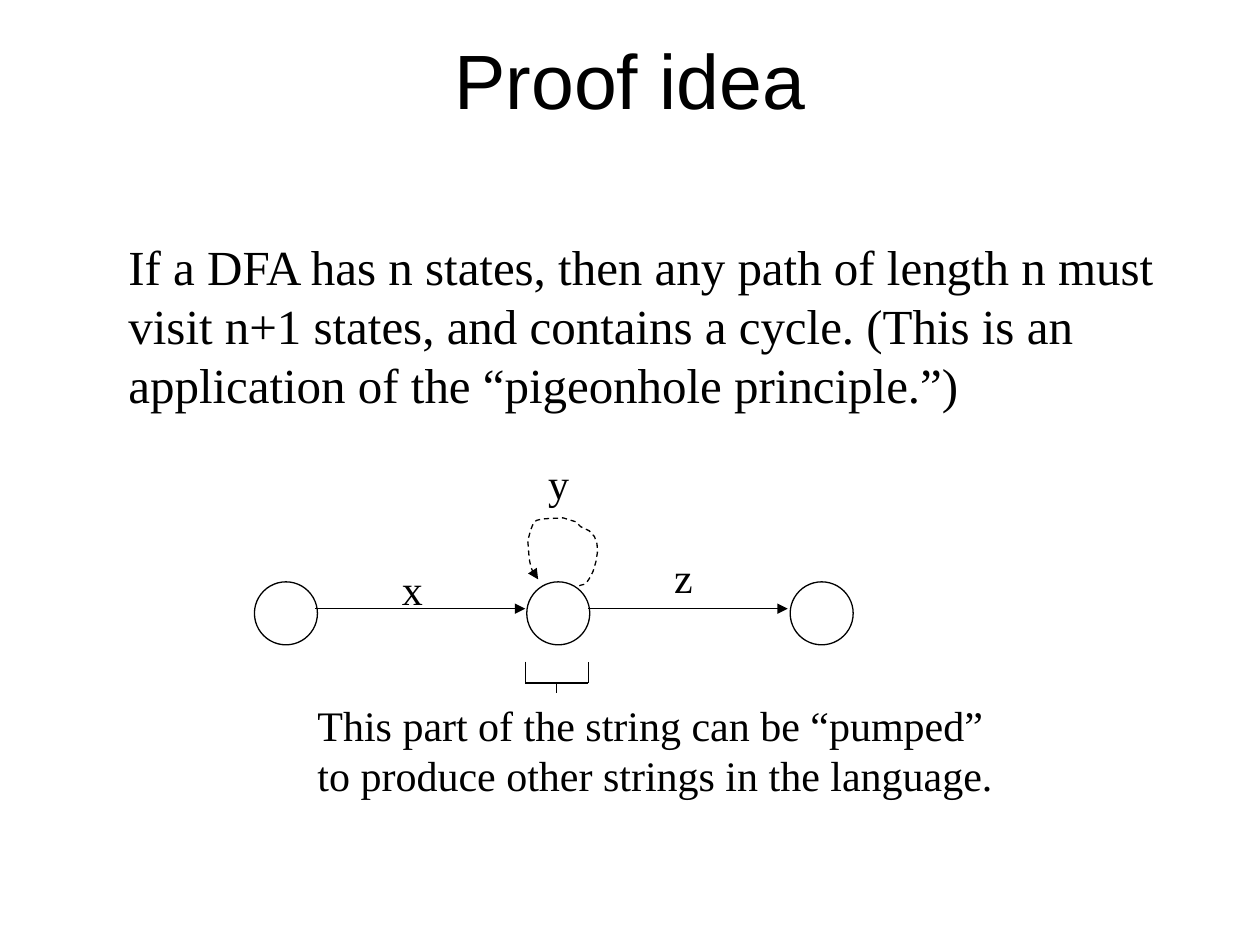
"""Build the proof idea slide with its state diagram."""
from dataclasses import dataclass
from typing import Any

from lxml.etree import SubElement
from pptx import Presentation
from pptx.dml.color import RGBColor
from pptx.enum.dml import MSO_LINE_DASH_STYLE as Dash
from pptx.enum.shapes import MSO_CONNECTOR as Link, MSO_SHAPE as Form
from pptx.enum.text import MSO_ANCHOR as Anchor, MSO_AUTO_SIZE as Auto, PP_ALIGN as Align
from pptx.oxml.ns import qn
from pptx.util import Cm, Pt

Point = tuple[float, float]


@dataclass(frozen=True)
class Theme:
    """Hold the colours, fonts and sizes."""
    ink: RGBColor = RGBColor(0, 0, 0)
    paper: RGBColor = RGBColor(255, 255, 255)
    head: str = "Arial"
    body: str = "Times New Roman"
    title: int = 44
    text: int = 28
    label: int = 24
    line: float = 0.75


@dataclass(frozen=True)
class Note:
    """Describe one text box in centimetres."""
    left: float
    top: float
    width: float
    height: float
    lines: tuple[str, ...]
    size: int
    wrap: bool = True


@dataclass(frozen=True)
class Edge:
    """Describe one straight line in centimetres."""
    start: Point
    end: Point
    arrow: bool = False


THEME = Theme()
SIDE = 1.27
STATE_TOP = 11.73
STATES = (5.13, 10.62, 15.93)
NOTES = (
    Note(2.34, 4.65, 21.31, 3.81, (
        "If a DFA has n states, then any path of length n must",
        "visit n+1 states, and contains a cycle. (This is an",
        "application of the “pigeonhole principle.”)"), THEME.text),
    Note(7.85, 11.23, 0.91, SIDE, ("x",), THEME.label, False),
    Note(10.8, 9.09, 0.91, SIDE, ("y",), THEME.label, False),
    Note(13.34, 11, 0.89, SIDE, ("z",), THEME.label, False),
    Note(6.15, 13.97, 14.17, 2.29, (
        "This part of the string can be “pumped”",
        "to produce other strings in the language."), THEME.label),
)
LEFT, RIGHT = 10.59, 11.86
MID = (LEFT + RIGHT) / 2
TOP, BASE, STEM = 13.34, 13.77, 13.97
FLOW = 12.27
EDGES = (
    Edge((LEFT, TOP), (LEFT, BASE)),
    Edge((LEFT, BASE), (RIGHT, BASE)),
    Edge((RIGHT, BASE), (RIGHT, TOP)),
    Edge((MID, BASE), (MID, STEM)),
    Edge((6.35, FLOW), (LEFT, FLOW), True),
    Edge((RIGHT, FLOW), (15.88, FLOW), True),
)
LOOP_START = (11.68, 11.81)
LOOP = (
    ((11.71, 11.79), (11.79, 11.79), (11.81, 11.76)),
    ((11.89, 11.68), (11.96, 11.51), (11.96, 11.51)),
    ((12.09, 11.13), (12.12, 10.74), (11.71, 10.62)),
    ((11.68, 10.59), (11.63, 10.54), (11.61, 10.52)),
    ((11.51, 10.49), (11.35, 10.44), (11.35, 10.44)),
    ((11.18, 10.46), (10.97, 10.44), (10.82, 10.49)),
    ((10.72, 10.52), (10.67, 10.82), (10.64, 10.9)),
    ((10.67, 11.15), (10.64, 11.48), (10.85, 11.68)),
)


def add_run(para: Any, text: str, font: str, size: int) -> None:
    """Add one styled run to a paragraph."""
    run = para.add_run()
    run.text = text
    run.font.name = font
    run.font.size = Pt(size)
    run.font.color.rgb = THEME.ink


def ink_line(shape: Any, arrow: bool = False, dash: bool = False) -> None:
    """Set the line of a shape or connector."""
    line = shape.line
    line.color.rgb = THEME.ink
    line.width = Pt(THEME.line)
    if dash:
        line.dash_style = Dash.DASH
    if arrow:
        SubElement(line._get_or_add_ln(), qn("a:tailEnd"), type="triangle")


def add_title(slide: Any, text: str) -> None:
    """Place and fill the title."""
    title = slide.shapes.title
    title.left, title.top = Cm(1.27), Cm(0)
    title.width, title.height = Cm(22.86), Cm(3.18)
    frame = title.text_frame
    frame.vertical_anchor = Anchor.MIDDLE
    para = frame.paragraphs[0]
    para.alignment = Align.CENTER
    add_run(para, text, THEME.head, THEME.title)


def add_note(slide: Any, note: Note) -> None:
    """Draw one text box."""
    box = slide.shapes.add_textbox(
        Cm(note.left), Cm(note.top), Cm(note.width), Cm(note.height))
    frame = box.text_frame
    frame.word_wrap = note.wrap
    frame.auto_size = Auto.SHAPE_TO_FIT_TEXT
    for i, text in enumerate(note.lines):
        para = frame.add_paragraph() if i else frame.paragraphs[0]
        add_run(para, text, THEME.body, note.size)


def add_state(slide: Any, left: float) -> None:
    """Draw one state circle."""
    state = slide.shapes.add_shape(
        Form.OVAL, Cm(left), Cm(STATE_TOP), Cm(SIDE), Cm(SIDE))
    state.shadow.inherit = False
    state.fill.background()
    ink_line(state)


def add_edge(slide: Any, edge: Edge) -> None:
    """Draw one straight line."""
    ends = [Cm(v) for v in (*edge.start, *edge.end)]
    link = slide.shapes.add_connector(Link.STRAIGHT, *ends)
    ink_line(link, edge.arrow)
    SubElement(link._element.spPr, qn("a:effectLst"))


def trace(start: Point, curves: tuple, steps: int = 6) -> list[Point]:
    """Sample points along a chain of cubic curves."""
    points = [start]
    for curve in curves:
        knots = (points[-1], *curve)
        for i in range(1, steps + 1):
            t = i / steps
            u = 1 - t
            parts = (u ** 3, 3 * u * u * t, 3 * u * t * t, t ** 3)
            points.append((sum(p * k[0] for p, k in zip(parts, knots)),
                           sum(p * k[1] for p, k in zip(parts, knots))))
    return points


def add_loop(slide: Any) -> None:
    """Draw the dashed cycle arrow."""
    first, *rest = [(Cm(x), Cm(y)) for x, y in trace(LOOP_START, LOOP)]
    pen = slide.shapes.build_freeform(*first)
    pen.add_line_segments(rest, close=False)
    loop = pen.convert_to_shape()
    loop.shadow.inherit = False
    loop.fill.background()
    ink_line(loop, arrow=True, dash=True)


def main() -> None:
    """Build and save the slide."""
    deck = Presentation()
    deck.slide_width, deck.slide_height = Cm(25.4), Cm(19.05)
    slide = deck.slides.add_slide(deck.slide_layouts[5])
    fill = slide.background.fill
    fill.solid()
    fill.fore_color.rgb = THEME.paper
    add_title(slide, "Proof idea")
    add_note(slide, NOTES[0])
    for left in STATES:
        add_state(slide, left)
    add_loop(slide)
    for note in NOTES[1:]:
        add_note(slide, note)
    for edge in EDGES:
        add_edge(slide, edge)
    deck.save("out.pptx")


if __name__ == "__main__":
    main()
